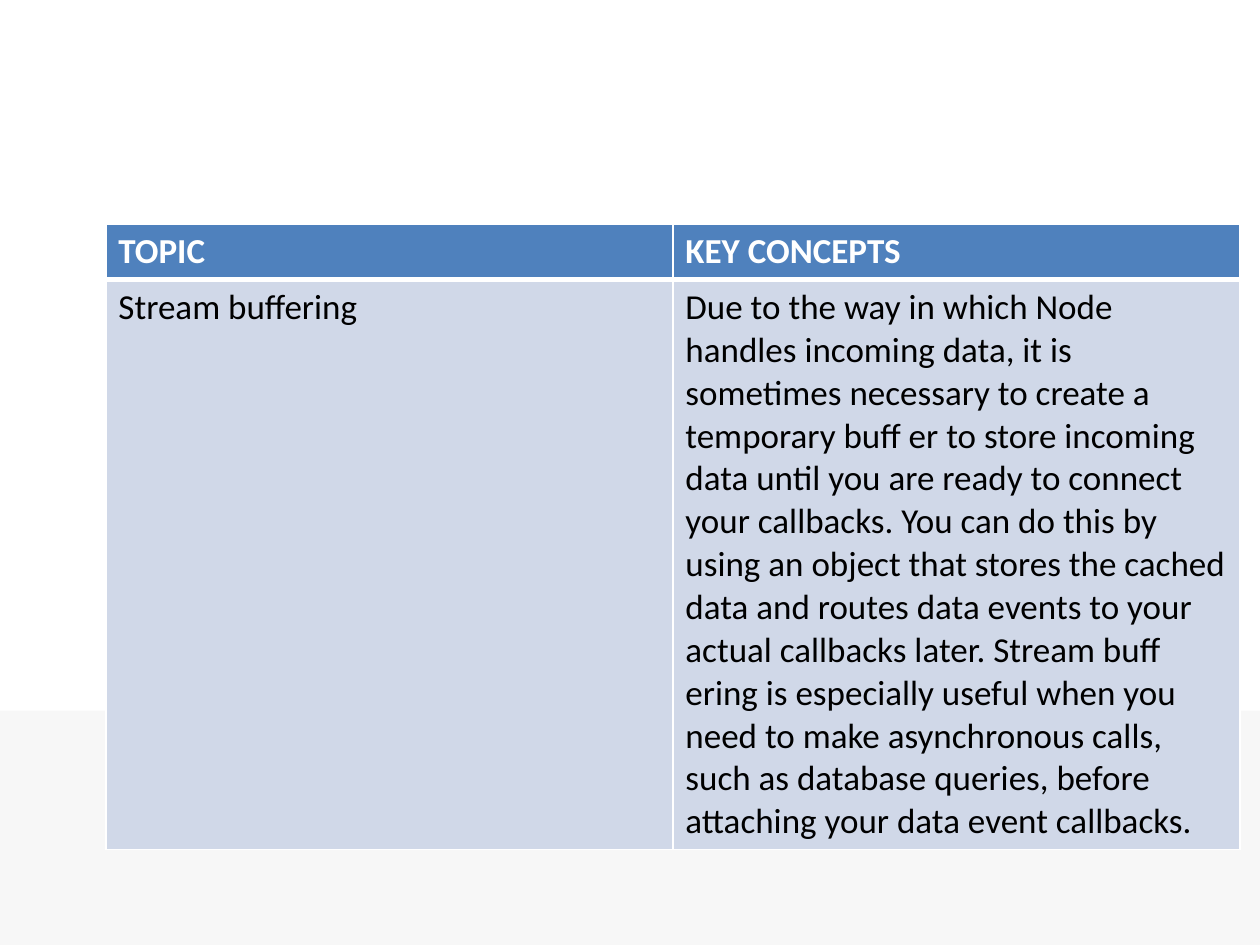
from dataclasses import dataclass
from typing import Any

from lxml import etree
from pptx import Presentation
from pptx import util as u
from pptx.dml.color import RGBColor
from pptx.enum import shapes
from pptx.oxml import ns

WHITE = RGBColor(0xFF, 0xFF, 0xFF)
BLACK = RGBColor(0x00, 0x00, 0x00)
BAND_GREY = RGBColor(0xF7, 0xF7, 0xF7)
HEADER_BLUE = RGBColor(0x4F, 0x81, 0xBD)
BODY_BLUE = RGBColor(0xD0, 0xD8, 0xE8)

WIDTH, HEIGHT = u.Inches(10), u.Inches(7.5)

HEADER = {
    "fill": HEADER_BLUE,
    "color": WHITE,
    "font": {"bold": True},
    "borders": {"L": 1, "R": 1, "T": 1, "B": 3},
}
BODY = {
    "fill": BODY_BLUE,
    "color": BLACK,
    "font": {"bold": False},
    "borders": {"L": 1, "R": 1, "T": 3, "B": 1},
}

ROWS = [
    ("TOPIC", "KEY CONCEPTS"),
    (
        "Stream buffering",
        "Due to the way in which Node handles incoming data, it is sometimes "
        "necessary to create a temporary buff er to store incoming data until "
        "you are ready to connect your callbacks. You can do this by using an "
        "object that stores the cached data and routes data events to your "
        "actual callbacks later. Stream buff ering is especially useful when "
        "you need to make asynchronous calls, such as database queries, before "
        "attaching your data event callbacks.",
    ),
]


@dataclass
class Deck:
    s: Any
    font: str = "Calibri"
    size: int = 20

    def band(self, top, height, color):
        sp = self.s.shapes.add_shape(
            shapes.MSO_SHAPE.RECTANGLE,
            0, u.Inches(top), WIDTH, u.Inches(height),
        )
        sp.shadow.inherit = False
        sp.fill.solid()
        sp.fill.fore_color.rgb = color
        sp.line.fill.background()

    def border(self, cell, side, width):
        ln = etree.SubElement(
            cell._tc.get_or_add_tcPr(), ns.qn(f"a:ln{side}"), w=str(u.Pt(width))
        )
        fill = etree.SubElement(ln, ns.qn("a:solidFill"))
        etree.SubElement(fill, ns.qn("a:srgbClr"), val=str(WHITE))

    def cell(self, cell, content, look):
        for side, width in look["borders"].items():
            self.border(cell, side, width)
        cell.fill.solid()
        cell.fill.fore_color.rgb = look["fill"]
        r = cell.text_frame.paragraphs[0].add_run()
        r.text = content
        style = {"name": self.font, "size": u.Pt(self.size), **look["font"]}
        for name, value in style.items():
            setattr(r.font, name, value)
        r.font.color.rgb = look["color"]

    def table(self, left, top, width, heights, rows):
        table = self.s.shapes.add_table(
            len(rows), len(rows[0]),
            u.Inches(left), u.Inches(top),
            u.Inches(width), u.Inches(sum(heights)),
        ).table
        for i, (height, row) in enumerate(zip(heights, rows)):
            table.rows[i].height = u.Inches(height)
            for j, content in enumerate(row):
                self.cell(table.cell(i, j), content, BODY if i else HEADER)


def main():
    prs = Presentation()
    prs.slide_width, prs.slide_height = WIDTH, HEIGHT
    deck = Deck(prs.slides.add_slide(prs.slide_layouts[6]))
    deck.band(5.64, 1.86, BAND_GREY)
    deck.table(0.84, 1.78, 9, (0.43, 4.44), ROWS)
    prs.save("out.pptx")


if __name__ == "__main__":
    main()
